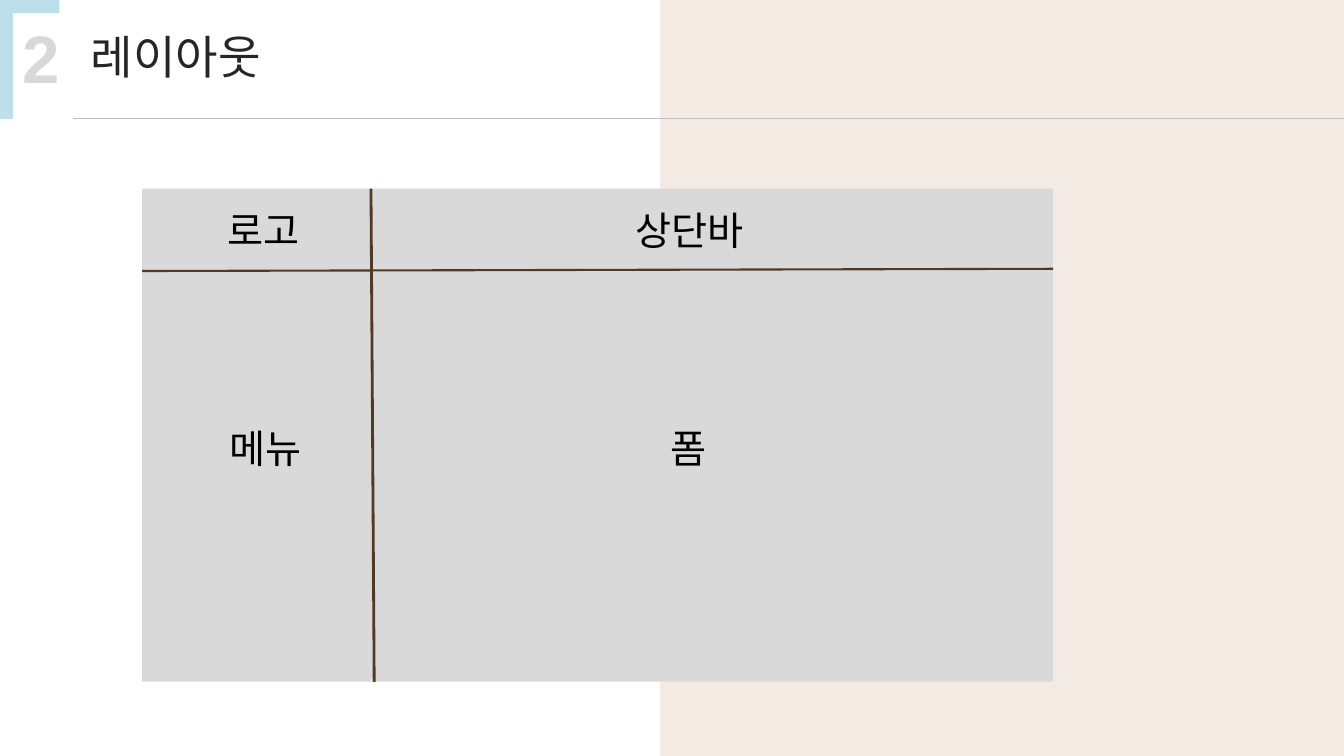
from pptx import Presentation
from pptx.dml.color import RGBColor
from pptx.enum.shapes import MSO_CONNECTOR, MSO_SHAPE
from pptx.enum.text import MSO_ANCHOR, MSO_AUTO_SIZE, PP_ALIGN
from pptx.oxml.ns import qn
from pptx.util import Pt
from lxml.etree import SubElement


def color(value):
    return RGBColor.from_string(value)


def write(sp, text, size, font, fill, bold=False):
    tf = sp.text_frame
    frame = {"word_wrap": True, "auto_size": MSO_AUTO_SIZE.NONE,
             "vertical_anchor": MSO_ANCHOR.MIDDLE,
             "margin_left": Pt(7.2), "margin_right": Pt(7.2),
             "margin_top": Pt(3.6), "margin_bottom": Pt(3.6)}
    for name, value in frame.items():
        setattr(tf, name, value)
    p = tf.paragraphs[0]
    p.alignment = PP_ALIGN.LEFT
    r = p.add_run()
    r.text = text
    for name, value in {"size": Pt(size), "name": font, "bold": bold}.items():
        setattr(r.font, name, value)
    r.font.color.rgb = color(fill)
    SubElement(r.font._element, qn("a:ea"), typeface=font)


KOREAN = "Noto Sans CJK KR"

prs = Presentation()
prs.slide_width, prs.slide_height = Pt(960), Pt(540)
s = prs.slides.add_slide(prs.slide_layouts[5])

blocks = [
    (471.6, 0, 488.4, 540, "F2EAE3"),
    (0, 0, 9.4, 85, "BCE0EB"),
    (9.4, 0, 33.1, 9.4, "BCE0EB"),
    (101.6, 134.7, 650.4, 352.2, "D9D9D9"),
]
for x, y, w, h, fill in blocks:
    sp = s.shapes.add_shape(MSO_SHAPE.RECTANGLE, Pt(x), Pt(y), Pt(w), Pt(h))
    sp.shadow.inherit = False
    sp.fill.solid()
    sp.fill.fore_color.rgb = color(fill)
    sp.line.fill.background()

rules = [
    (52, 84.5, 960, 84.5, "BFBFBF", 0.75),
    (265, 134.7, 267.3, 487.1, "503925", 2),
    (101.6, 193.6, 752.2, 192, "503925", 1.5),
]
for x1, y1, x2, y2, stroke, weight in rules:
    line = s.shapes.add_connector(MSO_CONNECTOR.STRAIGHT, Pt(x1), Pt(y1), Pt(x2), Pt(y2))
    line.line.color.rgb = color(stroke)
    line.line.width = Pt(weight)
    SubElement(line._element.spPr, qn("a:effectLst"))

title = s.shapes.title
box = {"left": 57.6, "top": 16.2, "width": 571.7, "height": 47.5}
for name, value in box.items():
    setattr(title, name, Pt(value))
write(title, "레이아웃", 33, KOREAN, "262626")

number = s.shapes.add_textbox(Pt(8.8), Pt(7.5), Pt(41.8), Pt(65.5))
write(number, "2", 48, "Arial", "D8D8D8", bold=True)

top_row, main_row = 144, 299.5
labels = [
    ("로고", 155.5, top_row, 95.8),
    ("상단바", 447.1, top_row, 166.3),
    ("메뉴", 157, main_row, 95.8),
    ("폼", 471.6, main_row, 95.8),
]
for text, x, y, w in labels:
    sp = s.shapes.add_textbox(Pt(x), Pt(y), Pt(w), Pt(41))
    write(sp, text, 28, KOREAN, "000000")

prs.save("out.pptx")
